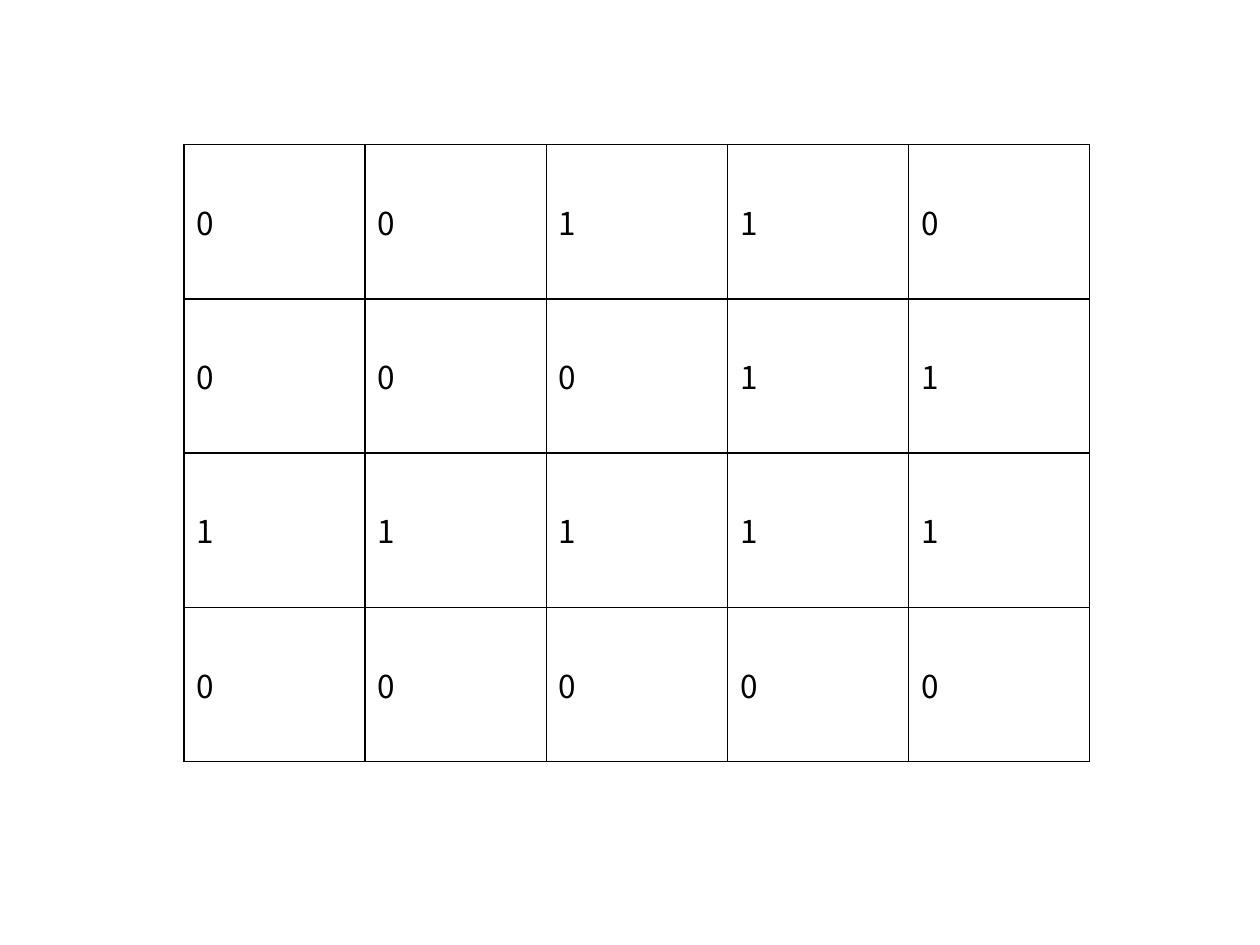
from lxml import etree
from pptx import Presentation
from pptx.dml.color import RGBColor
from pptx.enum.text import MSO_ANCHOR, PP_ALIGN
from pptx.oxml.ns import qn
from pptx.util import Inches, Pt

MIDDLE = MSO_ANCHOR.MIDDLE
JUSTIFY = PP_ALIGN.JUSTIFY
BLANK_LAYOUT = 6

SLIDE_WIDTH, SLIDE_HEIGHT = Inches(10), Inches(7.5)
BLACK, WHITE = "000000", "FFFFFF"
DIGIT_FORMAT = {"name": "Noto Sans CJK KR", "size": Pt(18), "bold": False}
BORDER_WIDTH = Pt(1)
BORDER_SIDES = ("a:lnL", "a:lnR", "a:lnT", "a:lnB")

BIT_ROWS = ("00110", "00011", "11111", "00000")

# Grid position as shares of the slide's size
GRID_LEFT, GRID_TOP = 0.146, 0.153
GRID_WIDTH, GRID_HEIGHT = 0.719, 0.653


def color(hex_value):
    return RGBColor.from_string(hex_value)


def add_borders(cell, hex_value):
    properties = cell._tc.get_or_add_tcPr()
    for index, side in enumerate(BORDER_SIDES):
        border = etree.Element(qn(side), w=str(BORDER_WIDTH))
        solid = etree.SubElement(border, qn("a:solidFill"))
        etree.SubElement(solid, qn("a:srgbClr"), val=hex_value)
        properties.insert(index, border)


def fill_cell(cell, digit):
    cell.fill.solid()
    cell.fill.fore_color.rgb = color(WHITE)
    cell.vertical_anchor = MIDDLE
    paragraph = cell.text_frame.paragraphs[0]
    paragraph.alignment = JUSTIFY
    run = paragraph.add_run()
    run.text = digit
    for attribute, value in DIGIT_FORMAT.items():
        setattr(run.font, attribute, value)
    run.font.color.rgb = color(BLACK)
    add_borders(cell, BLACK)


def add_bit_grid(slide, bit_rows):
    grid = slide.shapes.add_table(
        len(bit_rows), len(bit_rows[0]),
        int(SLIDE_WIDTH * GRID_LEFT), int(SLIDE_HEIGHT * GRID_TOP),
        int(SLIDE_WIDTH * GRID_WIDTH), int(SLIDE_HEIGHT * GRID_HEIGHT),
    ).table
    grid.first_row = grid.horz_banding = False
    for row, bits in enumerate(bit_rows):
        for column, digit in enumerate(bits):
            fill_cell(grid.cell(row, column), digit)


def main():
    presentation = Presentation()
    presentation.slide_width = SLIDE_WIDTH
    presentation.slide_height = SLIDE_HEIGHT
    slide = presentation.slides.add_slide(presentation.slide_layouts[BLANK_LAYOUT])

    # Grid of zeros and ones
    add_bit_grid(slide, BIT_ROWS)

    presentation.save("out.pptx")


main()
